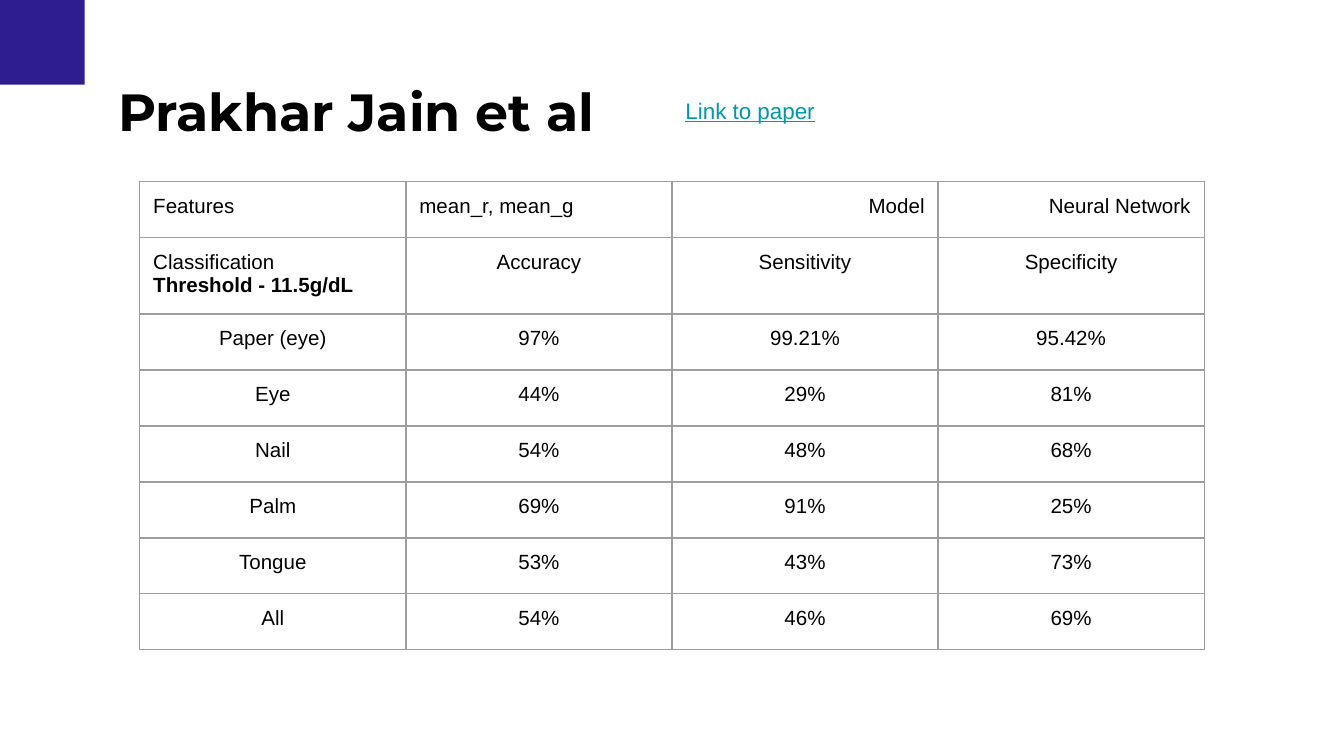
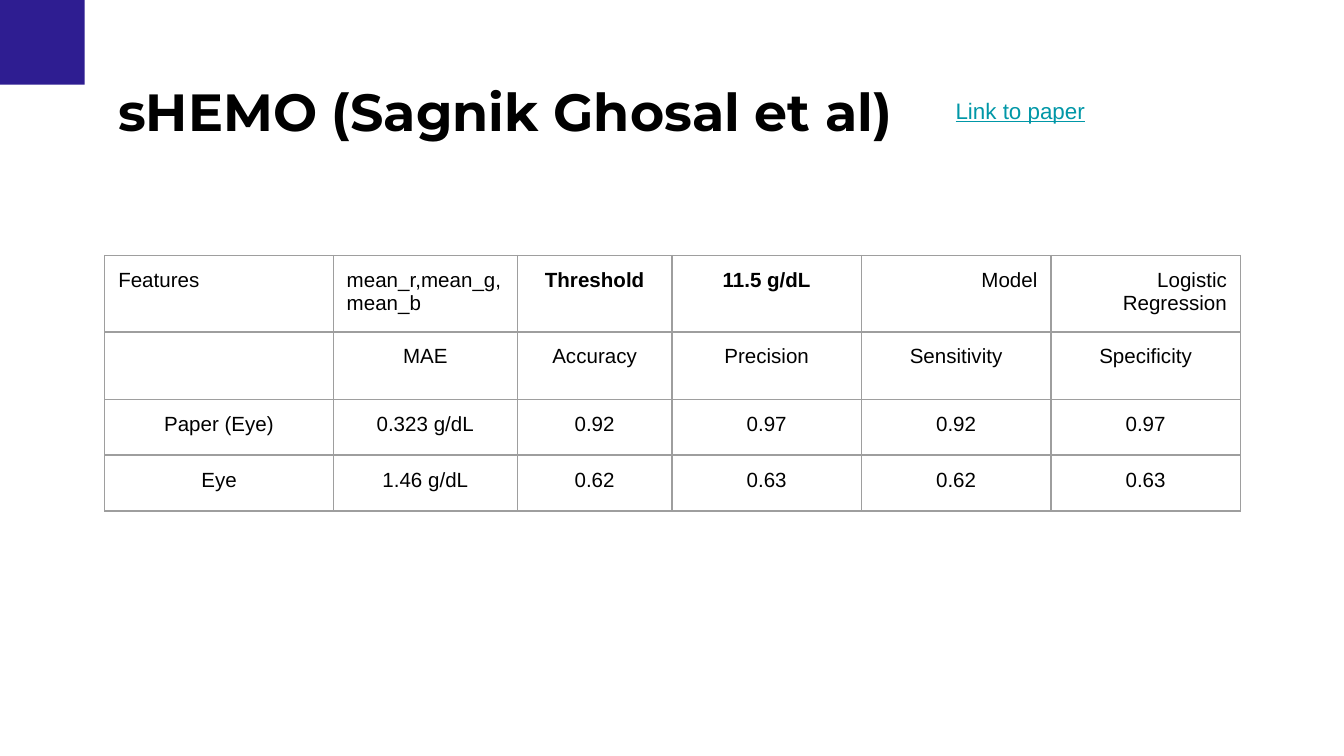
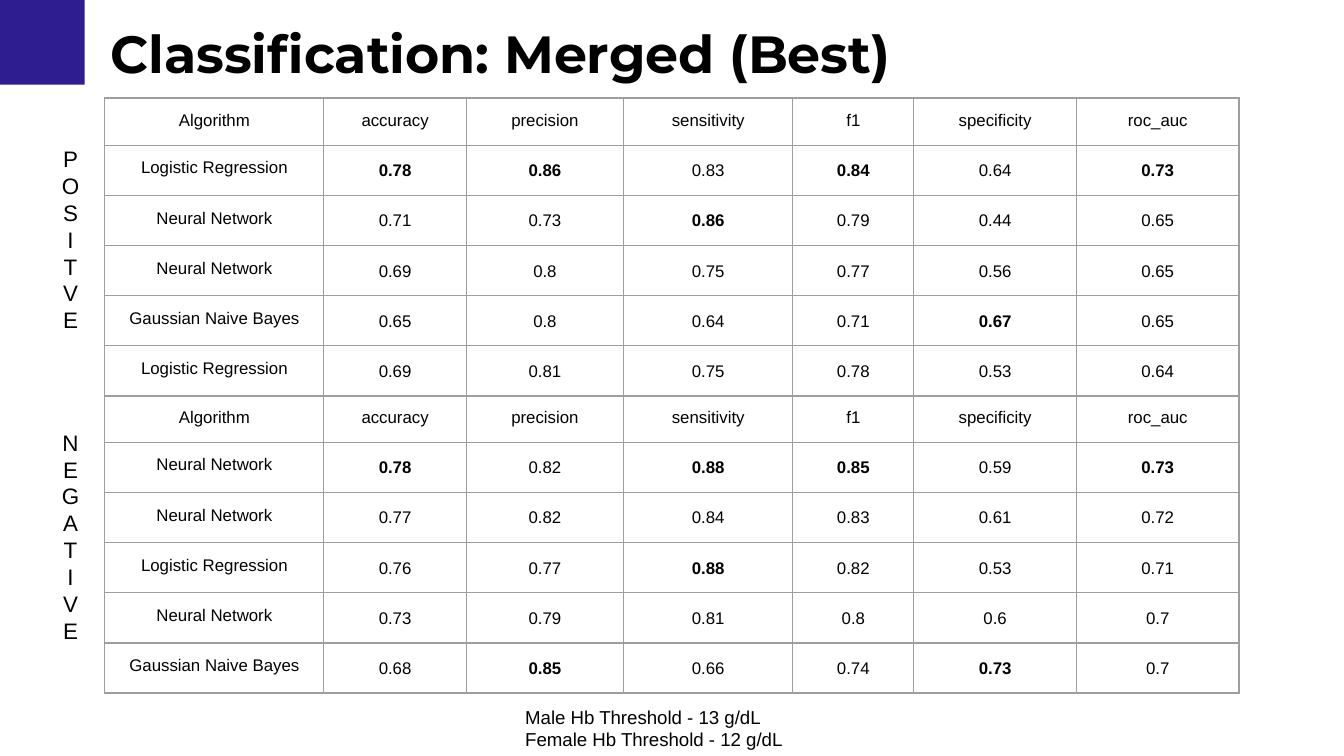
from lxml import etree
from pptx import Presentation
from pptx import util as u
from pptx.dml.color import RGBColor
from pptx.enum import shapes, text
from pptx.oxml import ns

INDIGO, BLACK, TEAL, GREY = "2E1D91", "000000", "0097A7", "9E9E9E"
ALIGN = {"<": text.PP_ALIGN.LEFT, ">": text.PP_ALIGN.RIGHT}
ROW = 5 / 12
WIDTHS = [1.63, 1.06, 1.17, 1.26, 0.9, 1.21, 1.21]
HEIGHTS = [0.35] + [0.37] * 5
HEADS = "Algorithm|accuracy|precision|sensitivity|f1|specificity|roc_auc"

JAIN = [
    "<Features|<mean_r, mean_g|>Model|>Neural Network",
    "<Classification\n<*Threshold - 11.5g/dL|Accuracy|Sensitivity|Specificity",
    "Paper (eye)|97%|99.21%|95.42%",
    "Eye|44%|29%|81%",
    "Nail|54%|48%|68%",
    "Palm|69%|91%|25%",
    "Tongue|53%|43%|73%",
    "All|54%|46%|69%",
]
SHEMO = [
    "<Features|<mean_r,mean_g,\n<mean_b|*Threshold|*11.5 g/dL|>Model|>Logistic Regression",
    "|MAE|Accuracy|Precision|Sensitivity|Specificity",
    "Paper (Eye)|0.323 g/dL|0.92|0.97|0.92|0.97",
    "Eye|1.46 g/dL|0.62|0.63|0.62|0.63",
]
POSITIVE = [
    HEADS,
    "Logistic Regression|*0.78|*0.86|0.83|*0.84|0.64|*0.73",
    "Neural Network|0.71|0.73|*0.86|0.79|0.44|0.65",
    "Neural Network|0.69|0.8|0.75|0.77|0.56|0.65",
    "Gaussian Naive Bayes|0.65|0.8|0.64|0.71|*0.67|0.65",
    "Logistic Regression|0.69|0.81|0.75|0.78|0.53|0.64",
]
NEGATIVE = [
    HEADS,
    "Neural Network|*0.78|0.82|*0.88|*0.85|0.59|*0.73",
    "Neural Network|0.77|0.82|0.84|0.83|0.61|0.72",
    "Logistic Regression|0.76|0.77|*0.88|0.82|0.53|0.71",
    "Neural Network|0.73|0.79|0.81|0.8|0.6|0.7",
    "Gaussian Naive Bayes|0.68|*0.85|0.66|0.74|*0.73|0.7",
]


def paint(target, tone):
    """Set the colour of a fill or a font from a hex string."""
    if hasattr(target, "solid"):
        target.solid()
        target.fore_color.rgb = RGBColor.from_string(tone)
    else:
        target.color.rgb = RGBColor.from_string(tone)


def style(par, size, tone=BLACK, face="Arial", bold=False, align=text.PP_ALIGN.LEFT):
    """Format one paragraph."""
    par.alignment = align
    par.space_before = u.Pt(0)
    font = par.font
    font.size, font.name, font.bold = u.Pt(size), face, bold
    paint(font, tone)


def place(shape, box):
    """Put a shape at a box given in inches."""
    shape.left, shape.top, shape.width, shape.height = map(u.Inches, box)


def inset(frame):
    """Give a text frame its margins, wrapping and top anchor."""
    frame.margin_left = frame.margin_right = u.Inches(0.1)
    frame.margin_top = frame.margin_bottom = u.Inches(0.1)
    frame.word_wrap = True
    frame.vertical_anchor = text.MSO_ANCHOR.TOP
    frame.auto_size = text.MSO_AUTO_SIZE.SHAPE_TO_FIT_TEXT


def band(prs, slide):
    """Draw the corner square and move it to the slide master."""
    side = u.Inches(0.63)
    square = slide.shapes.add_shape(shapes.MSO_SHAPE.RECTANGLE, 0, 0, side, side)
    square.shadow.inherit = False
    paint(square.fill, INDIGO)
    square.line.fill.background()
    prs.slide_master.shapes.element.append(square.element)


def head(slide, words, left=0.78, top=0.49):
    """Fill the title placeholder."""
    title = slide.shapes.title
    place(title, (left, top, 8.44, 0.67))
    inset(title.text_frame)
    title.text_frame.text = words
    style(title.text_frame.paragraphs[0], 28, face="Montserrat", bold=True)


def link(slide, left):
    """Fill the body placeholder with the paper link label."""
    body = slide.placeholders[1]
    place(body, (left, 0.62, 1.3, 0.4))
    inset(body.text_frame)
    body.text_frame.text = "Link to paper"
    par = body.text_frame.paragraphs[0]
    props = par._p.get_or_add_pPr()
    props.set("marL", "0")
    props.set("indent", "0")
    etree.SubElement(props, ns.qn("a:buNone"))
    style(par, 12, TEAL)
    par.font.underline = True


def note(slide, box, lines, size, align=text.PP_ALIGN.LEFT):
    """Add a text box with one paragraph per line."""
    frame = slide.shapes.add_textbox(*map(u.Inches, box)).text_frame
    inset(frame)
    frame.text = "\n".join(lines)
    for par in frame.paragraphs:
        style(par, size, align=align)


def edge(cell):
    """Draw the four borders of a cell and clear its fill."""
    props = cell._tc.get_or_add_tcPr()
    for side in "LRTB":
        line = etree.SubElement(props, ns.qn(f"a:ln{side}"), w=str(u.Pt(0.75)))
        fill = etree.SubElement(line, ns.qn("a:solidFill"))
        etree.SubElement(fill, ns.qn("a:srgbClr"), val=GREY)
    cell.fill.background()


def write(cell, words, size, lead):
    """Write a cell; < and > set the side and * sets bold."""
    cell.margin_left = cell.margin_right = u.Inches(0.1)
    cell.margin_top = cell.margin_bottom = u.Inches(0.1)
    lines = words.split("\n")
    cell.text = "\n".join(line.lstrip("<>*") for line in lines)
    for par, line in zip(cell.text_frame.paragraphs, lines):
        side = ALIGN.get(line[:1], text.PP_ALIGN.CENTER)
        style(par, size, bold="*" in line, align=side)
        if lead:
            par.line_spacing = lead


def grid(slide, left, top, cols, rows, data, size=11, lead=None):
    """Add a bordered table; lead spaces the lines of its value cells."""
    box = map(u.Inches, (left, top, sum(cols), sum(rows)))
    table = slide.shapes.add_table(len(rows), len(cols), *box).table
    table.first_row = table.horz_banding = False
    for col, width in zip(table.columns, cols):
        col.width = u.Inches(width)
    for i, (row, height) in enumerate(zip(table.rows, rows)):
        row.height = u.Inches(height)
        for j, words in enumerate(data[i].split("|")):
            write(table.cell(i, j), words, size, lead if i and j else None)
            edge(table.cell(i, j))


def paper(prs, title, spot, *table):
    """Build a slide on one paper: title, link label and table."""
    slide = prs.slides.add_slide(prs.slide_layouts[1])
    head(slide, title)
    link(slide, spot)
    grid(slide, *table)
    return slide


def merged(prs):
    """Build the slide with the positive and negative tables."""
    slide = prs.slides.add_slide(prs.slide_layouts[5])
    head(slide, "Classification: Merged (Best)", 0.72, 0.06)
    for top, data in ((0.73, POSITIVE), (2.94, NEGATIVE)):
        grid(slide, 0.78, top, WIDTHS, HEIGHTS, data, 9, 1.15)
    for top, height, word in ((0.98, 1.62, "POSITVE"), (3.09, 1.82, "NEGATIVE")):
        note(slide, (0.33, top, 0.39, height), word, 12, text.PP_ALIGN.CENTER)
    limits = ["Male Hb Threshold - 13 g/dL", "Female Hb Threshold - 12 g/dL"]
    note(slide, (3.81, 5.15, 2.2, 0.54), limits, 10)


def main():
    """Build and save the deck."""
    prs = Presentation()
    prs.slide_width = u.Inches(10)
    prs.slide_height = prs.slide_width * 9 // 16
    rows = [ROW, 0.57] + [ROW] * 6
    first = paper(prs, "Prakhar Jain et al", 5, 1.04, 1.35, [1.98] * 4, rows, JAIN)
    band(prs, first)
    cols = [1.7, 1.37, 1.15] + [1.41] * 3
    rows = [0.57, 0.5, ROW, ROW]
    paper(prs, "sHEMO (Sagnik Ghosal et al)", 7.01, 0.78, 1.9, cols, rows, SHEMO)
    merged(prs)
    prs.save("out.pptx")


if __name__ == "__main__":
    main()
